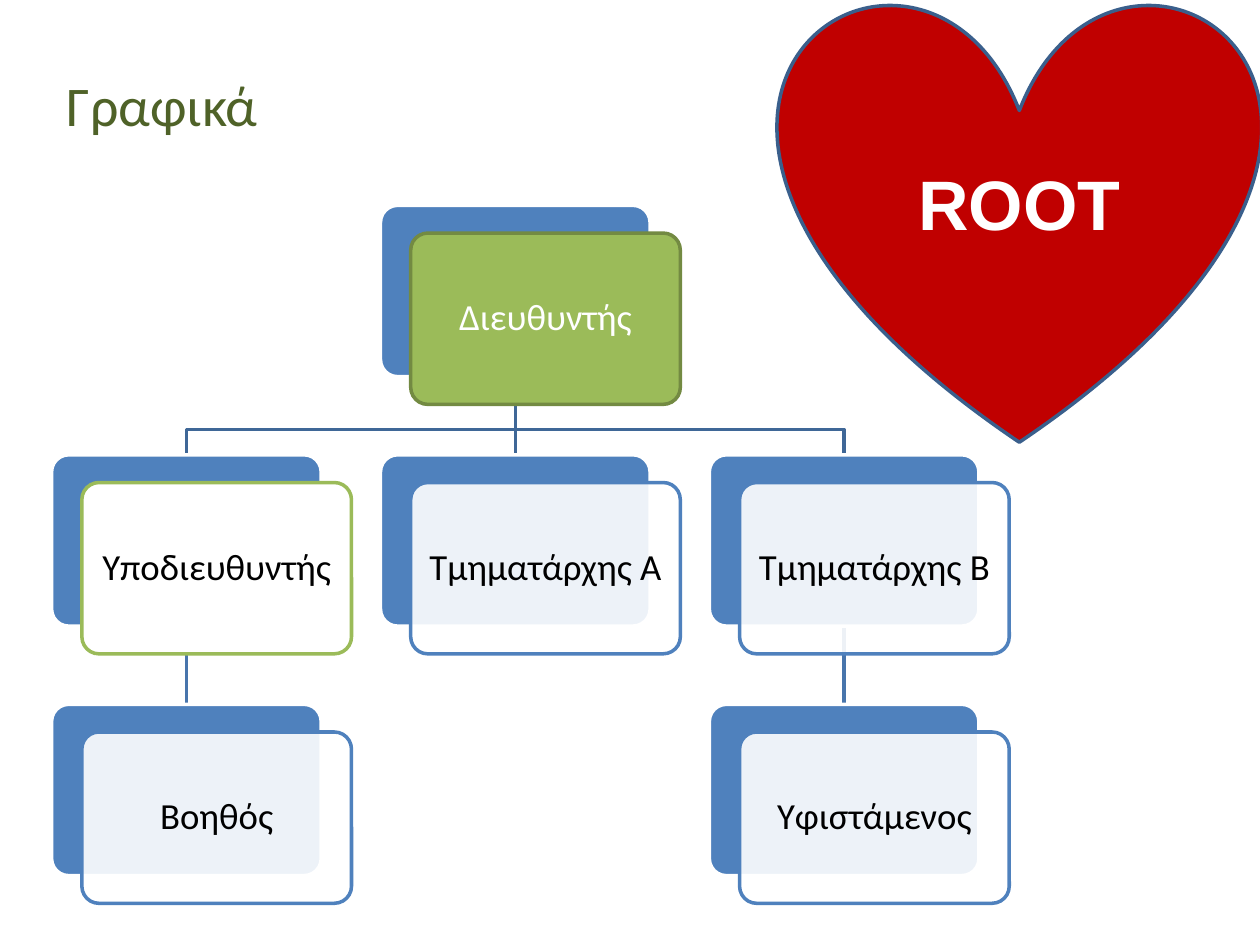
from lxml.etree import SubElement
from pptx import Presentation
from pptx.dml.color import RGBColor
from pptx.enum.shapes import MSO_CONNECTOR, MSO_SHAPE
from pptx.enum.text import MSO_ANCHOR, MSO_AUTO_SIZE, PP_ALIGN
from pptx.oxml.ns import qn
from pptx.util import Inches, Pt

WHITE = RGBColor(0xFF, 0xFF, 0xFF)
BLACK = RGBColor(0x00, 0x00, 0x00)
BLUE = RGBColor(0x4F, 0x81, 0xBD)
GREEN = RGBColor(0x9B, 0xBB, 0x59)
MOSS = RGBColor(0x73, 0x8A, 0x42)
OLIVE = RGBColor(0x4F, 0x62, 0x28)
RED = RGBColor(0xC0, 0x00, 0x00)
NAVY = RGBColor(0x3A, 0x5F, 0x8C)
UPPER = RGBColor(0x3F, 0x67, 0x97)
LOWER = RGBColor(0x48, 0x75, 0xAC)

LEFT, TOP = 0.41, 1.63
COL, ROW = 2.61, 1.98
WIDTH, HEIGHT = 2.14, 1.36
SHIFT_X, SHIFT_Y = 0.24, 0.22

# Name, column, row, parent's name, fill, alpha in percent, line, text colour
STAFF = [
    ("Διευθυντής", 1, 0, None, GREEN, 100, MOSS, WHITE),
    ("Υποδιευθυντής", 0, 1, "Διευθυντής", WHITE, 100, GREEN, BLACK),
    ("Βοηθός", 0, 2, "Υποδιευθυντής", WHITE, 90, BLUE, BLACK),
    ("Τμηματάρχης Α", 1, 1, "Διευθυντής", WHITE, 90, BLUE, BLACK),
    ("Τμηματάρχης Β", 2, 1, "Διευθυντής", WHITE, 90, BLUE, BLACK),
    ("Υφιστάμενος", 2, 2, "Τμηματάρχης Β", WHITE, 90, BLUE, BLACK),
]


def write(shape, text, size, color, font="Calibri", bold=False,
          align=PP_ALIGN.CENTER, anchor=MSO_ANCHOR.MIDDLE, spacing=1.0):
    frame = shape.text_frame
    frame.word_wrap = True
    frame.auto_size = MSO_AUTO_SIZE.NONE
    frame.vertical_anchor = anchor
    para = frame.paragraphs[0]
    para.alignment = align
    para.line_spacing = spacing
    run = para.add_run()
    run.text = text
    run.font.name = font
    run.font.size = Pt(size)
    run.font.bold = bold
    run.font.color.rgb = color


def draw(slide, kind, x, y, w, h, fill, line, alpha=100):
    shape = slide.shapes.add_shape(kind, Inches(x), Inches(y), Inches(w), Inches(h))
    shape.shadow.inherit = False
    shape.fill.solid()
    shape.fill.fore_color.rgb = fill
    shape.line.color.rgb = line
    shape.line.width = Pt(2)
    if alpha < 100:
        color = shape.fill._xPr.find(qn("a:solidFill"))[0]
        SubElement(color, qn("a:alpha"), val=str(alpha * 1000))
    return shape


def card(slide, x, y, fill, line, alpha=100):
    shape = draw(slide, MSO_SHAPE.ROUNDED_RECTANGLE, x, y, WIDTH, HEIGHT,
                 fill, line, alpha)
    shape.adjustments[0] = 0.1
    return shape


def spot(col, row):
    return LEFT + col * COL, TOP + row * ROW


def link(slide, parent, child):
    """Join the foot of one back card to the head of another, bending if needed."""
    x1, y1 = spot(*parent)
    x2, y2 = spot(*child)
    x1, x2, y1 = x1 + WIDTH / 2, x2 + WIDTH / 2, y1 + HEIGHT
    if parent[0] == child[0]:
        line = slide.shapes.add_connector(
            MSO_CONNECTOR.STRAIGHT, Inches(x1), Inches(y1), Inches(x2), Inches(y2))
        SubElement(line._element.spPr, qn("a:effectLst"))
    else:
        bend = y2 - 0.2
        path = slide.shapes.build_freeform(Inches(x1), Inches(y1))
        path.add_line_segments(
            [(Inches(x), Inches(y)) for x, y in ((x1, bend), (x2, bend), (x2, y2))],
            close=False)
        line = path.convert_to_shape()
        line.shadow.inherit = False
        line.fill.background()
    line.line.color.rgb = LOWER if parent[1] else UPPER
    line.line.width = Pt(2)


def chart(slide):
    """Draw the links first, so that the cards lie over them."""
    spots = {name: (col, row) for name, col, row, *_ in STAFF}
    for name, col, row, boss, *_ in STAFF:
        if boss:
            link(slide, spots[boss], (col, row))
    for name, col, row, _, fill, alpha, line, ink in STAFF:
        x, y = spot(col, row)
        card(slide, x, y, BLUE, WHITE)
        front = card(slide, x + SHIFT_X, y + SHIFT_Y, fill, line, alpha)
        frame = front.text_frame
        frame.margin_left = frame.margin_right = Inches(0.05)
        write(front, name, 21, ink, spacing=0.9)


def main():
    deck = Presentation()
    deck.slide_width, deck.slide_height = Inches(10), Inches(7.5)
    slide = deck.slides.add_slide(deck.slide_layouts[5])
    title = slide.shapes.title
    title.left, title.top = Inches(0.43), Inches(0.51)
    title.width, title.height = Inches(1.97), Inches(0.64)
    write(title, "Γραφικά", 32, OLIVE, align=PP_ALIGN.LEFT, anchor=MSO_ANCHOR.TOP)
    heart = draw(slide, MSO_SHAPE.HEART, 6.18, 0, 3.82, 3.51, RED, NAVY)
    write(heart, "ROOT", 40, WHITE, font="Arial", bold=True)
    chart(slide)
    deck.save("out.pptx")


if __name__ == "__main__":
    main()
